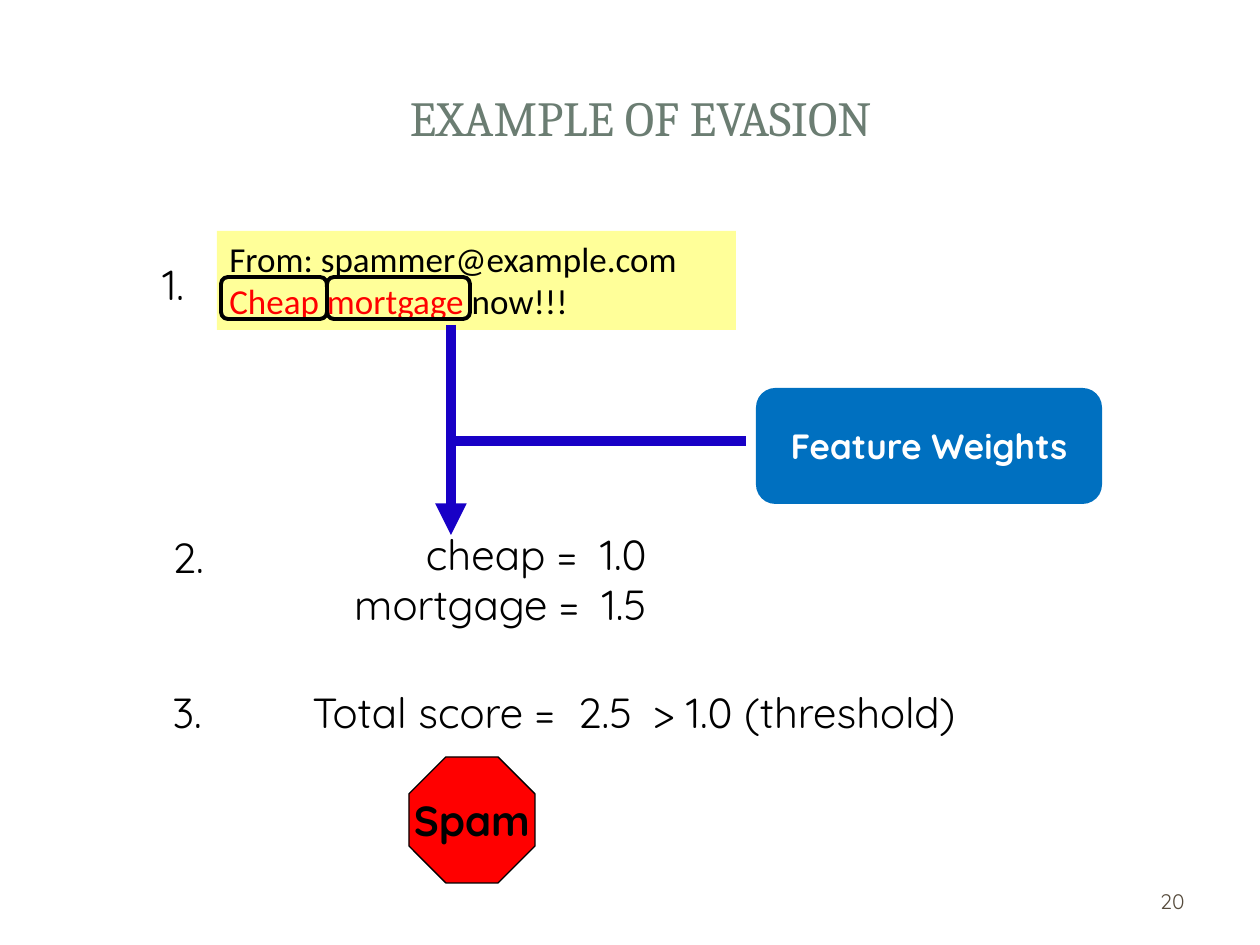
from lxml import etree
from pptx import Presentation
from pptx.dml.color import RGBColor
from pptx.enum.shapes import MSO_CONNECTOR, MSO_SHAPE
from pptx.enum.text import MSO_ANCHOR, PP_ALIGN
from pptx.oxml.ns import qn
from pptx.util import Pt

PX = 914400 / 126
LEFT, MID, RIGHT = PP_ALIGN.LEFT, PP_ALIGN.CENTER, PP_ALIGN.RIGHT
TOP, CENTER = MSO_ANCHOR.TOP, MSO_ANCHOR.MIDDLE
RECT, ROUND, OCTAGON = MSO_SHAPE.RECTANGLE, MSO_SHAPE.ROUNDED_RECTANGLE, MSO_SHAPE.OCTAGON
LINE = MSO_CONNECTOR.STRAIGHT


def rgb(code):
    return RGBColor.from_string(code)


def write(shape, text, size, font="Quicksand", color="000000", bold=False,
          align=LEFT, anchor=TOP, wrap=False):
    frame = shape.text_frame
    frame.text = text
    frame.word_wrap = wrap
    frame.vertical_anchor = anchor
    for para in frame.paragraphs:
        para.alignment = align
        for run in para.runs:
            run.font.size = Pt(size)
            run.font.name = font
            run.font.bold = bold
            run.font.color.rgb = rgb(color)


prs = Presentation()
prs.slide_width = round(1260 * PX)
prs.slide_height = round(945 * PX)
slide = prs.slides.add_slide(prs.slide_layouts[5])
shapes = slide.shapes

title = shapes.title
title.left, title.top, title.width, title.height = [round(v * PX) for v in (63, 38, 1155, 157)]
write(title, "EXAMPLE OF EVASION", 28, "Cambria", "6B7D72", align=MID, anchor=CENTER, wrap=True)

labels = [
    ("cheap =  1.0\nmortgage =  1.5", 338, 522, 321, 113, RIGHT),
    ("Total score =  2.5", 300, 680, 352, 63, LEFT),
    ("> 1.0 (threshold)", 640, 680, 333, 63, LEFT),
    ("1.", 150, 252, 60, 63, LEFT),
    ("2.", 160, 525, 60, 63, LEFT),
    ("3.", 160, 680, 60, 63, LEFT),
]
for text, x, y, w, h, align in labels:
    box = shapes.add_textbox(*[round(v * PX) for v in (x, y, w, h)])
    write(box, text, 24, align=align)

blocks = [
    (RECT, 217, 231, 519, 99, "FFFF99", None),
    (ROUND, 756, 388, 346, 116, "0070C0", None),
    (ROUND, 221, 277, 106, 42, None, 2.25),
    (ROUND, 327, 277, 143, 42, None, 2.25),
    (OCTAGON, 409, 757, 126, 126, "FF0000", 0.75),
]
made = []
for kind, x, y, w, h, fill, edge in blocks:
    block = shapes.add_shape(kind, *[round(v * PX) for v in (x, y, w, h)])
    block.shadow.inherit = False
    if fill:
        block.fill.solid()
        block.fill.fore_color.rgb = rgb(fill)
    else:
        block.fill.background()
    if edge:
        block.line.color.rgb = rgb("000000")
        block.line.width = Pt(edge)
    else:
        block.line.fill.background()
    made.append(block)
mail, weights, cheap, loan, stop = made

write(mail, "From: spammer@example.com\nCheap mortgage", 20, "Calibri", wrap=True)
words = mail.text_frame.paragraphs[1]
words.runs[0].font.color.rgb = rgb("FF0000")
rest = words.add_run()
rest.text = " now!!!"
rest.font.size = Pt(20)
rest.font.name = "Calibri"
rest.font.color.rgb = rgb("000000")
write(weights, "Feature Weights", 20, color="FFFFFF", bold=True, align=MID, anchor=CENTER)
write(stop, "Spam", 24, bold=True, align=MID, anchor=CENTER)

for ends, arrow in [((451, 325, 451, 535), True), ((451, 441, 746, 441), False)]:
    line = shapes.add_connector(LINE, *[round(v * PX) for v in ends])
    line.line.color.rgb = rgb("1800C6")
    line.line.width = Pt(6)
    if arrow:
        etree.SubElement(line.line._get_or_add_ln(), qn("a:tailEnd"), type="triangle")
    etree.SubElement(line._element.spPr, qn("a:effectLst"))

page = shapes.add_textbox(*[round(v * PX) for v in (903, 876, 294, 50)])
write(page, "20", 12, color="564B3C", align=RIGHT, anchor=CENTER, wrap=True)

prs.save("out.pptx")
